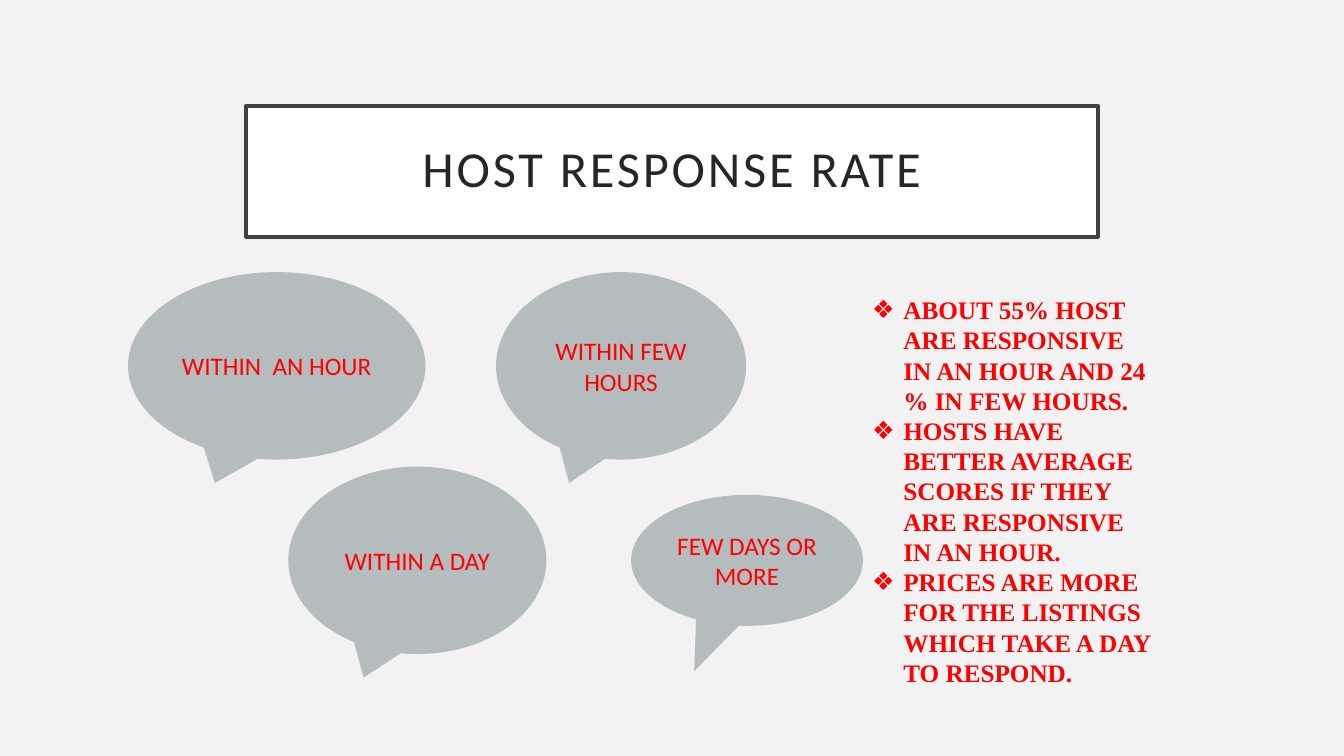
"""Build the host response rate slide with speech bubbles and findings."""
from dataclasses import dataclass

from lxml import etree
from pptx import Presentation
from pptx.dml.color import RGBColor
from pptx.enum.shapes import MSO_SHAPE
from pptx.enum.text import MSO_ANCHOR, MSO_AUTO_SIZE, PP_ALIGN
from pptx.oxml.ns import qn
from pptx.util import Inches, Pt

BUBBLE = MSO_SHAPE.OVAL_CALLOUT
MIDDLE, TOP = MSO_ANCHOR.MIDDLE, MSO_ANCHOR.TOP
CENTER, LEFT = PP_ALIGN.CENTER, PP_ALIGN.LEFT
NO_FIT = MSO_AUTO_SIZE.NONE

HEADING = "HOST RESPONSE RATE"
HEADING_BOX = (2.44, 1.05, 8.45, 1.3)
DEFAULT_TAIL = (-0.208, 0.625)
RESPONSE_TIMES = [
    ("WITHIN  AN HOUR", (1.27, 2.7, 2.95, 1.86), DEFAULT_TAIL),
    ("WITHIN FEW HOURS", (4.92, 2.7, 2.48, 1.86), DEFAULT_TAIL),
    ("WITHIN A DAY", (2.86, 4.63, 2.56, 1.86), DEFAULT_TAIL),
    ("FEW DAYS OR MORE", (6.26, 4.91, 2.3, 1.3), (-0.228, 0.846)),
]
FINDINGS = [
    "ABOUT 55% HOST ARE RESPONSIVE IN AN HOUR AND 24 % IN FEW HOURS.",
    "HOSTS HAVE BETTER AVERAGE SCORES IF THEY ARE RESPONSIVE IN AN HOUR.",
    "PRICES ARE MORE FOR THE LISTINGS WHICH TAKE A DAY TO RESPOND.",
]
FINDINGS_BOX = (8.55, 2.87, 2.98, 4.04)
BULLET, BULLET_INDENT = "❖", 0.31


@dataclass(frozen=True)
class Theme:
    """Colours, fonts and type sizes."""
    background: RGBColor = RGBColor.from_string("F2F2F2")
    panel: RGBColor = RGBColor.from_string("FFFFFF")
    border: RGBColor = RGBColor.from_string("404040")
    heading: RGBColor = RGBColor.from_string("262626")
    bubble: RGBColor = RGBColor.from_string("B4BCBE")
    accent: RGBColor = RGBColor.from_string("FF0000")
    sans: str = "Calibri"
    serif: str = "Times New Roman"
    heading_size: int = 36
    text_size: int = 18
    border_width: float = 2.5
    tracking: int = 200


THEME = Theme()


def place(shape, box):
    """Move a shape to a box given in inches."""
    shape.left, shape.top, shape.width, shape.height = map(Inches, box)


def write(paragraph, text, font, size, color, align, bold=False):
    """Add one formatted run to a paragraph."""
    paragraph.alignment = align
    run = paragraph.add_run()
    run.text = text
    run.font.name, run.font.size, run.font.bold = font, Pt(size), bold
    run.font.color.rgb = color
    return run


def add_heading(slide):
    """Fill and frame the title placeholder."""
    title = slide.shapes.title
    place(title, HEADING_BOX)
    title.fill.solid()
    title.fill.fore_color.rgb = THEME.panel
    title.line.color.rgb = THEME.border
    title.line.width = Pt(THEME.border_width)
    frame = title.text_frame
    frame.auto_size, frame.vertical_anchor = NO_FIT, MIDDLE
    frame.margin_left = frame.margin_right = Inches(0.2)
    frame.margin_top = frame.margin_bottom = Inches(0.2)
    paragraph = frame.paragraphs[0]
    paragraph.line_spacing = 0.9
    run = write(paragraph, HEADING, THEME.sans, THEME.heading_size,
                THEME.heading, CENTER)
    run.font._element.set("spc", str(THEME.tracking))


def add_response_time(slide, label, box, tail):
    """Draw one speech bubble."""
    bubble = slide.shapes.add_shape(BUBBLE, *map(Inches, box))
    bubble.shadow.inherit = False
    bubble.adjustments[0], bubble.adjustments[1] = tail
    bubble.fill.solid()
    bubble.fill.fore_color.rgb = THEME.bubble
    bubble.line.fill.background()
    frame = bubble.text_frame
    frame.word_wrap, frame.vertical_anchor = True, MIDDLE
    write(frame.paragraphs[0], label, THEME.sans, THEME.text_size,
          THEME.accent, CENTER)


def add_findings(slide):
    """Fill the body placeholder with the bulleted findings."""
    body = slide.placeholders[1]
    place(body, FINDINGS_BOX)
    frame = body.text_frame
    frame.word_wrap, frame.auto_size, frame.vertical_anchor = True, NO_FIT, TOP
    for index, finding in enumerate(FINDINGS):
        paragraph = frame.add_paragraph() if index else frame.paragraphs[0]
        paragraph.space_before = paragraph.space_after = Pt(0)
        paragraph.line_spacing = 1.0
        write(paragraph, finding, THEME.serif, THEME.text_size,
              THEME.accent, LEFT, bold=True)
        properties = paragraph._p.get_or_add_pPr()
        properties.set("marL", str(Inches(BULLET_INDENT)))
        properties.set("indent", str(-Inches(BULLET_INDENT)))
        etree.SubElement(properties, qn("a:buChar"), char=BULLET)


def main():
    """Assemble and save the slide."""
    deck = Presentation()
    deck.slide_width, deck.slide_height = Inches(13.33), Inches(7.5)
    slide = deck.slides.add_slide(deck.slide_layouts[1])
    slide.background.fill.solid()
    slide.background.fill.fore_color.rgb = THEME.background
    add_heading(slide)
    for label, box, tail in RESPONSE_TIMES:
        add_response_time(slide, label, box, tail)
    add_findings(slide)
    deck.save("out.pptx")


if __name__ == "__main__":
    main()
